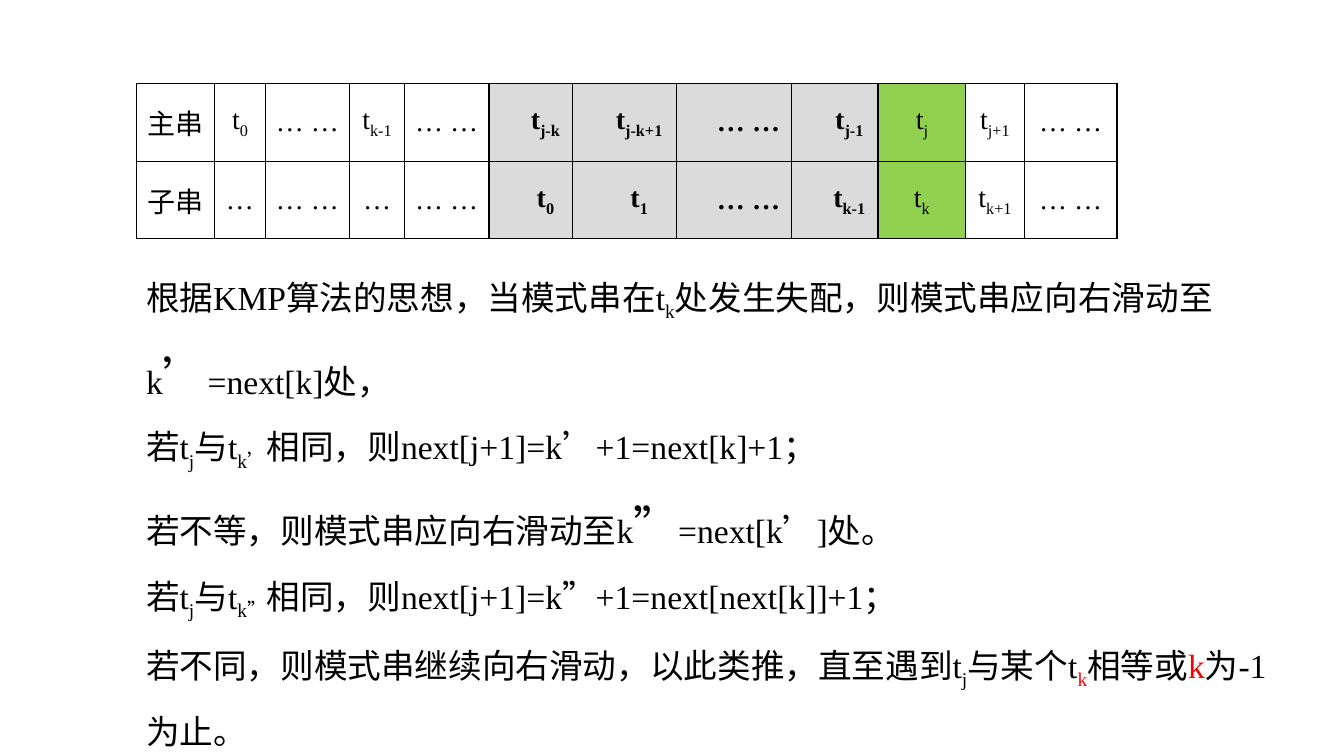
"""Build a slide that derives the KMP next array from a string comparison table."""
import dataclasses

import lxml.etree
import pptx
import pptx.dml.color
import pptx.enum.lang
import pptx.enum.text
import pptx.oxml.ns
import pptx.util

Inches = pptx.util.Inches
Pt = pptx.util.Pt
RGBColor = pptx.dml.color.RGBColor


@dataclasses.dataclass(frozen=True)
class Theme:
    font: str = "Times New Roman"
    ink: str = "000000"
    accent: str = "FF0000"
    matched: str = "DBDBDB"
    current: str = "92D050"
    table_size: int = 20
    body_size: int = 24
    quote_size: int = 32


class SlideBuilder:
    def __init__(self, slide, theme):
        self.slide = slide
        self.theme = theme

    def apply(self, target, values):
        for name, value in values.items():
            setattr(target, name, value)

    def add_run(self, paragraph, text, size, color=None, bold=False, subscript=False):
        run = paragraph.add_run()
        run.text = text
        self.apply(run.font, {
            "name": self.theme.font,
            "size": Pt(size),
            "bold": bold,
            "language_id": pptx.enum.lang.MSO_LANGUAGE_ID.SIMPLIFIED_CHINESE,
        })
        run.font.color.rgb = RGBColor.from_string(color or self.theme.ink)
        if subscript:
            run._r.get_or_add_rPr().set("baseline", "-25000")

    def add_borders(self, cell):
        properties = cell._tc.get_or_add_tcPr()
        for position, side in enumerate(("lnL", "lnR", "lnT", "lnB")):
            line = lxml.etree.Element(pptx.oxml.ns.qn(f"a:{side}"), w=str(Pt(1)))
            fill = lxml.etree.SubElement(line, pptx.oxml.ns.qn("a:solidFill"))
            lxml.etree.SubElement(fill, pptx.oxml.ns.qn("a:srgbClr"), val=self.theme.ink)
            properties.insert(position, line)

    def fill_cell(self, cell, text, fill):
        matched = fill == self.theme.matched
        self.apply(cell, {
            "margin_left": Inches(0.07),
            "margin_right": Inches(0.07),
            "margin_top": 0,
            "margin_bottom": 0,
            "vertical_anchor": pptx.enum.text.MSO_ANCHOR.MIDDLE,
        })
        if fill:
            cell.fill.solid()
            cell.fill.fore_color.rgb = RGBColor.from_string(fill)
        else:
            cell.fill.background()
        self.add_borders(cell)
        paragraph = cell.text_frame.paragraphs[0]
        paragraph.alignment = pptx.enum.text.PP_ALIGN.CENTER
        if matched:
            paragraph._p.get_or_add_pPr().set("indent", str(Inches(0.29)))
        base, _, index = text.partition("_")
        self.add_run(paragraph, base, self.theme.table_size, bold=matched)
        if index:
            self.add_run(paragraph, index, self.theme.table_size, bold=matched, subscript=True)

    def add_table(self, left, top, widths, row_height, rows, fills):
        frame = self.slide.shapes.add_table(
            len(rows), len(widths), Inches(left), Inches(top),
            Inches(sum(widths)), Inches(row_height * len(rows)))
        table = frame.table
        self.apply(table, {"first_row": False, "horz_banding": False})
        for column, width in zip(table.columns, widths):
            column.width = Inches(width)
        for row, texts in zip(table.rows, rows):
            row.height = Inches(row_height)
            for cell, text, fill in zip(row.cells, texts, fills):
                self.fill_cell(cell, text, fill)

    def add_text(self, left, top, width, height, paragraphs):
        formats = {
            "plain": {},
            "sub": {"subscript": True},
            "quote": {"size": self.theme.quote_size},
            "red": {"color": self.theme.accent},
            "red sub": {"color": self.theme.accent, "subscript": True},
        }
        frame = self.slide.shapes.add_textbox(
            Inches(left), Inches(top), Inches(width), Inches(height)).text_frame
        frame.word_wrap = True
        for number, runs in enumerate(paragraphs):
            paragraph = frame.add_paragraph() if number else frame.paragraphs[0]
            paragraph.line_spacing = 1.5
            for text, style in runs:
                self.add_run(paragraph, text, **{"size": self.theme.body_size, **formats[style]})


def main():
    presentation = pptx.Presentation()
    presentation.slide_width = Inches(13.33)
    presentation.slide_height = Inches(7.5)
    theme = Theme()
    builder = SlideBuilder(presentation.slides.add_slide(presentation.slide_layouts[6]), theme)

    dots = "… …"
    builder.add_table(
        1.35, 0.83,
        [0.78, 0.5, 0.84, 0.54, 0.84, 0.83, 1.03, 1.14, 0.86, 0.87, 0.58, 0.92], 0.77,
        [
            ["主串", "t_0", dots, "t_k-1", dots, "t_j-k", "t_j-k+1", dots, "t_j-1",
             "t_j", "t_j+1", dots],
            ["子串", "…", dots, "…", dots, "t_0", "t_1", dots, "t_k-1",
             "t_k", "t_k+1", dots],
        ],
        [None] * 5 + [theme.matched] * 4 + [theme.current] + [None] * 2)

    def match_case(index, result):
        return [("若t", "plain"), ("j", "sub"), ("与t", "plain"), (index, "sub"),
                (f"相同，则next[j+1]={index}+1={result}+1；", "plain")]

    builder.add_text(1.35, 2.47, 11.31, 4.75, [
        [("根据KMP算法的思想，当模式串在t", "plain"), ("k", "sub"),
         ("处发生失配，则模式串应向右滑动至k", "plain"), ("’", "quote"),
         ("=next[k]处，", "plain")],
        match_case("k’", "next[k]"),
        [("若不等，则模式串应向右滑动至k", "plain"), ("”", "quote"),
         ("=next[k’]处。", "plain")],
        match_case("k”", "next[next[k]]"),
        [("若不同，则模式串继续向右滑动，以此类推，直至遇到t", "plain"), ("j", "sub"),
         ("与某个t", "plain"), ("k", "red sub"), ("相等或", "plain"), ("k", "red"),
         ("为-1为止。", "plain")],
    ])
    presentation.save("out.pptx")


if __name__ == "__main__":
    main()
